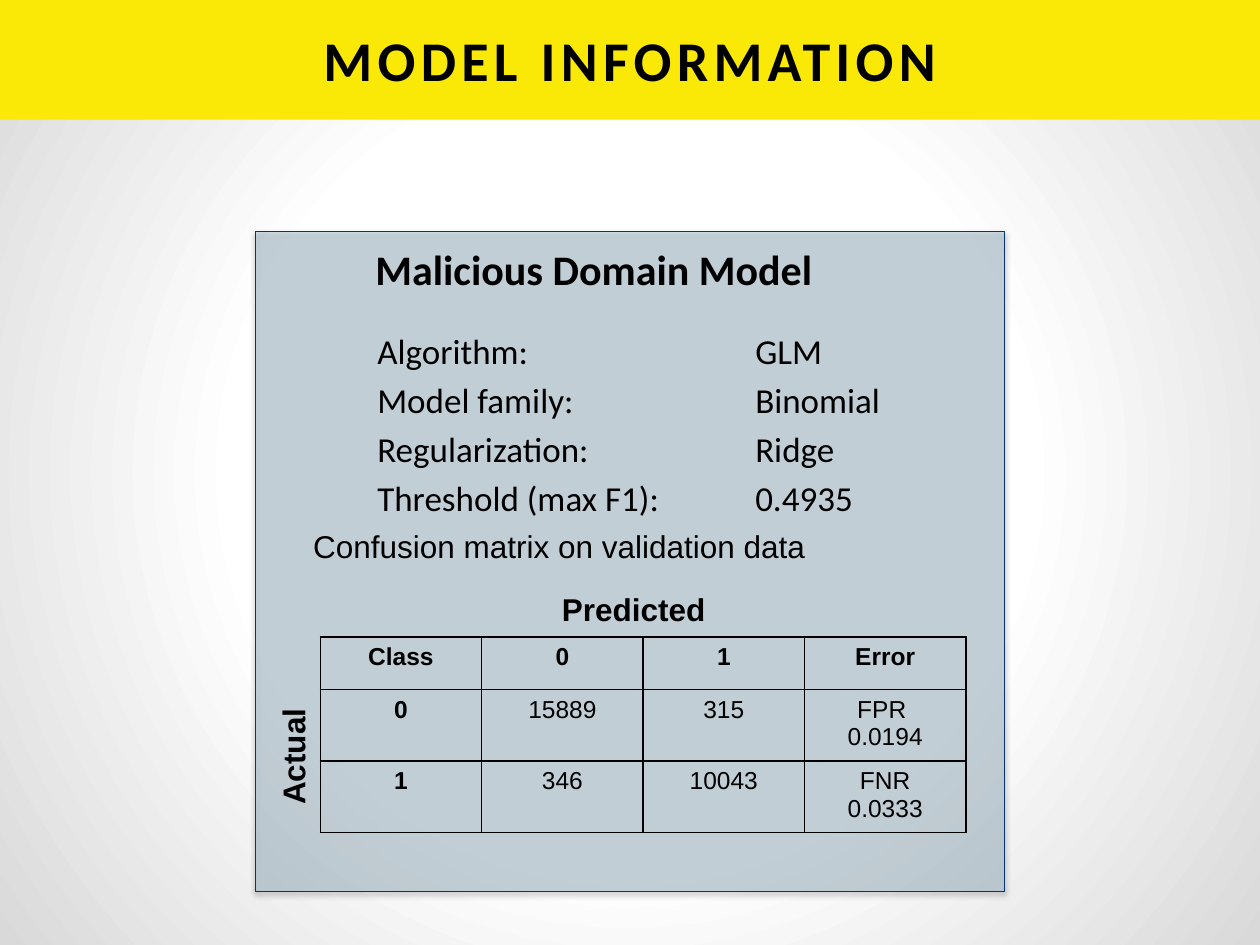
from lxml import etree
from pptx import Presentation
from pptx.dml.color import RGBColor as RGB
from pptx.enum.shapes import MSO_SHAPE as SHAPE
from pptx.enum.text import MSO_ANCHOR as ANCHOR, PP_ALIGN as ALIGN
from pptx.oxml import parse_xml
from pptx.util import Pt

COLORS = {"black": "000000", "banner": "FAE807", "panel": "9EBCCD",
          "outline": "043579", "center": "FFFFFF", "edge": "D9D9D9"}
A = "http://schemas.openxmlformats.org/drawingml/2006/main"
P = "http://schemas.openxmlformats.org/presentationml/2006/main"


def write(frame, text, align=ALIGN.LEFT, **format_values):
    frame.text = text
    for paragraph in frame.paragraphs:
        paragraph.alignment = align
        for run in paragraph.runs:
            run.font.color.rgb = RGB.from_string(COLORS["black"])
            for key, value in format_values.items():
                setattr(run.font, key, value)


def add_label(left, top, width, height, text, anchor=ANCHOR.TOP, **format_values):
    label = slide.shapes.add_textbox(Pt(left), Pt(top), Pt(width), Pt(height))
    label.text_frame.word_wrap = True
    label.text_frame.vertical_anchor = anchor
    write(label.text_frame, text, **format_values)
    return label


deck = Presentation()
deck.slide_width, deck.slide_height = Pt(720), Pt(540)
slide = deck.slides.add_slide(deck.slide_layouts[6])

slide.background.fill.solid()
backdrop = slide.background.fill
backdrop.fore_color.rgb = RGB.from_string(COLORS["center"])
backdrop_props = slide.element.find(f".//{{{P}}}bgPr")
backdrop_props.replace(backdrop_props[0], parse_xml(
    f'<a:gradFill xmlns:a="{A}" rotWithShape="1"><a:gsLst>'
    f'<a:gs pos="50000"><a:srgbClr val="{COLORS["center"]}"/></a:gs>'
    f'<a:gs pos="100000"><a:srgbClr val="{COLORS["edge"]}"/></a:gs></a:gsLst>'
    '<a:path path="circle"><a:fillToRect l="50000" t="50000" r="50000" b="50000"/>'
    '</a:path></a:gradFill>'))

banner = slide.shapes.add_shape(SHAPE.RECTANGLE, Pt(0), Pt(0), Pt(720), Pt(68.4))
panel = slide.shapes.add_shape(SHAPE.RECTANGLE, Pt(146), Pt(132.5), Pt(428), Pt(377))
for block, color in ((banner, "banner"), (panel, "panel")):
    block.shadow.inherit = False
    block.fill.solid()
    block.fill.fore_color.rgb = RGB.from_string(COLORS[color])
banner.line.fill.background()
panel.line.color.rgb = RGB.from_string(COLORS["outline"])
panel.line.width = Pt(0.75)
panel_props = panel.element.spPr
panel_color = panel_props.find(f"{{{A}}}solidFill/{{{A}}}srgbClr")
etree.SubElement(panel_color, f"{{{A}}}alpha", val="40000")
panel_props.find(f"{{{A}}}effectLst").append(parse_xml(
    f'<a:outerShdw xmlns:a="{A}" blurRad="39370" dist="22860" dir="5400000" '
    f'rotWithShape="0"><a:srgbClr val="{COLORS["black"]}"><a:alpha val="35000"/>'
    '</a:srgbClr></a:outerShdw>'))

title = add_label(36, -0.5, 648, 69, "MODEL INFORMATION", ANCHOR.MIDDLE,
                  align=ALIGN.CENTER, name="Calibri", size=Pt(32), bold=True)
title.text_frame.paragraphs[0].runs[0].font._element.set("spc", "300")
add_label(207.5, 121, 318, 50.4, "Malicious Domain Model", ANCHOR.BOTTOM,
          name="Calibri", size=Pt(24), bold=True)

settings = {"Algorithm:": "GLM", "Model family:": "Binomial",
            "Regularization:": "Ridge", "Threshold (max F1):": "0.4935"}
summary = add_label(208.5, 171.4, 326, 150,
                    "\n".join(f"{name}\t{value}" for name, value in settings.items()),
                    name="Calibri", size=Pt(20))
summary.text_frame.margin_top = Pt(17)
for paragraph in summary.text_frame.paragraphs:
    paragraph.space_after = Pt(4)
    tabs = etree.SubElement(paragraph._p.get_or_add_pPr(), f"{{{A}}}tabLst")
    etree.SubElement(tabs, f"{{{A}}}tab", pos=str(Pt(216)), algn="l")

caption = {"name": "Arial", "size": Pt(18)}
add_label(156, 297.5, 327, 29, "Confusion matrix on validation data",
          align=ALIGN.CENTER, **caption)
add_label(314, 333.5, 174, 29, "Predicted", bold=True, **caption)
actual = add_label(127.5, 412.5, 80, 29, "Actual", bold=True, **caption)
actual.rotation = 270

confusion = [["Class", "0", "1", "Error"],
             ["0", "15889", "315", "FPR \n0.0194"],
             ["1", "346", "10043", "FNR\n0.0333"]]
row_heights = [30, 38.6, 38.6]
matrix = slide.shapes.add_table(3, 4, Pt(183), Pt(364), Pt(369), Pt(107.2)).table
for column in matrix.columns:
    column.width = Pt(92.25)
for r, (height, values) in enumerate(zip(row_heights, confusion)):
    matrix.rows[r].height = Pt(height)
    for c, value in enumerate(values):
        cell = matrix.cell(r, c)
        write(cell.text_frame, value, ALIGN.CENTER, name="Arial", size=Pt(14),
              bold=r == 0 or c == 0)
        cell_props = cell._tc.get_or_add_tcPr()
        for side in ("lnL", "lnR", "lnT", "lnB"):
            cell_props.append(parse_xml(
                f'<a:{side} xmlns:a="{A}" w="{Pt(1)}"><a:solidFill>'
                f'<a:srgbClr val="{COLORS["black"]}"/></a:solidFill></a:{side}>'))
        cell.fill.background()

deck.save("out.pptx")
